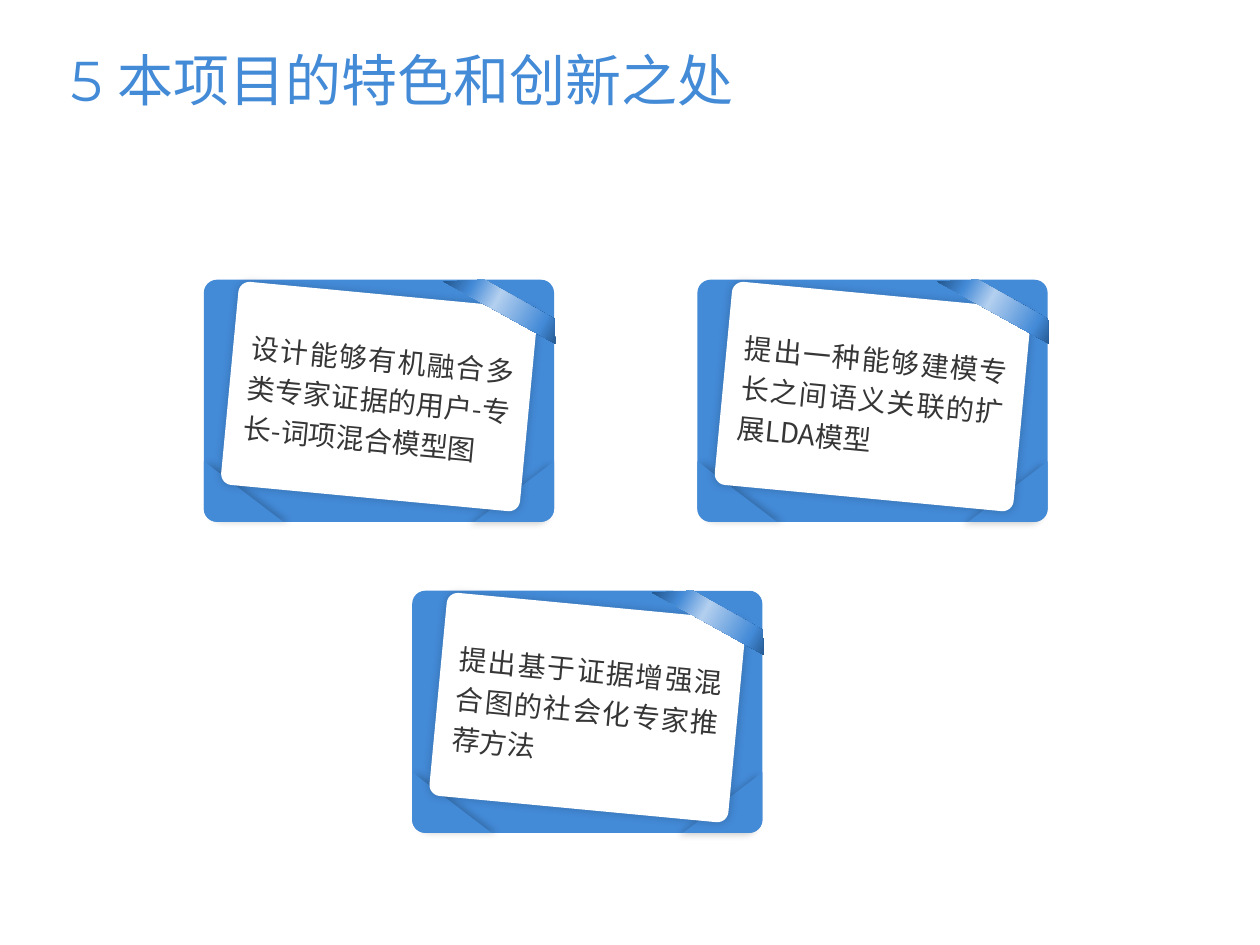
import math

from lxml import etree
from pptx import Presentation
from pptx.dml.color import RGBColor
from pptx.enum import shapes, text
from pptx.oxml import ns
from pptx.util import Cm, Pt

BLUE = "438AD7"
NAVY = "194574"
WHITE = "FFFFFF"
CJK_FONT = "Noto Sans CJK SC"

CARD_WIDTH, CARD_HEIGHT = 7.06, 4.88
NOTE_WIDTH, NOTE_HEIGHT = 6.05, 4.11
FOLD_WIDTH, FOLD_HEIGHT = 1.6, 1.22
CORNER = 0.054
RIBBON_POINTS = [(0, 1.88), (0.43, 2.57), (0.43, 0), (0, 0.26)]
RIBBON_STOPS = [(0, NAVY), (20, BLUE), (56, "B4D0EF"), (76, BLUE), (100, NAVY)]

CARDS = [
    (4.11, 5.64, "设计能够有机融合多类专家证据的用户-专长-词项混合模型图"),
    (14.06, 5.64, "提出一种能够建模专长之间语义关联的扩展LDA模型"),
    (8.31, 11.91, "提出基于证据增强混合图的社会化专家推荐方法"),
]


def color(value):
    return RGBColor.from_string(value)


def add_element(parent, tag, **attributes):
    values = {name: str(value) for name, value in attributes.items()}
    return etree.SubElement(parent, ns.qn(tag), values)


def format_shape(shape, fill):
    shape.fill.solid()
    shape.fill.fore_color.rgb = color(fill)
    shape.line.fill.background()
    shape.shadow.inherit = False


def add_shadow(shape, opacity, blur, distance=0, direction=0):
    effects = shape._element.spPr.find(ns.qn("a:effectLst"))
    shadow = add_element(
        effects, "a:outerShdw", blurRad=Pt(blur), dist=Pt(distance),
        dir=direction * 60000, algn="ctr", rotWithShape=0,
    )
    black = add_element(shadow, "a:srgbClr", val="000000")
    add_element(black, "a:alpha", val=opacity * 1000)


def set_font(paragraph, name, size, font_color):
    paragraph.font.size = Pt(size)
    paragraph.font.color.rgb = color(font_color)
    paragraph.font.name = name
    for run in paragraph.runs:
        add_element(run._r.get_or_add_rPr(), "a:ea", typeface=CJK_FONT)


def add_rounded(slide, left, top, width, height, fill):
    shape = slide.shapes.add_shape(
        shapes.MSO_SHAPE.ROUNDED_RECTANGLE, Cm(left), Cm(top), Cm(width), Cm(height)
    )
    shape.adjustments[0] = CORNER
    format_shape(shape, fill)
    return shape


def add_outline(slide, points, fill):
    lengths = [(Cm(x), Cm(y)) for x, y in points]
    builder = slide.shapes.build_freeform(*lengths[0])
    builder.add_line_segments(lengths[1:], close=True)
    shape = builder.convert_to_shape()
    format_shape(shape, fill)
    return shape


def add_fold(slide, edge, bottom, inward, shadow_direction):
    radius = CORNER * CARD_HEIGHT
    angles = [math.radians(step * 15) for step in range(7)]
    arc = [
        (edge + inward * radius * (1 - math.cos(angle)),
         bottom - radius * (1 - math.sin(angle)))
        for angle in angles
    ]
    points = [(edge, bottom - FOLD_HEIGHT), *arc, (edge + inward * FOLD_WIDTH, bottom)]
    fold = add_outline(slide, points, BLUE)
    add_shadow(fold, 20, 4, 3, shadow_direction)


def add_note(slide, left, top, words):
    note = add_rounded(slide, left, top, NOTE_WIDTH, NOTE_HEIGHT, WHITE)
    note.rotation = 5.4
    add_shadow(note, 19, 5)
    frame = note.text_frame
    frame.word_wrap = True
    frame.vertical_anchor = text.MSO_ANCHOR.MIDDLE
    frame.margin_left = frame.margin_right = Cm(0.3)
    frame.margin_top = frame.margin_bottom = Cm(0.3)
    frame.text = words
    paragraph = frame.paragraphs[0]
    paragraph.alignment = text.PP_ALIGN.JUSTIFY
    paragraph.line_spacing = 1.2
    set_font(paragraph, CJK_FONT, 16, "363636")


def add_ribbon(slide, left, top):
    points = [(left + x, top + y) for x, y in RIBBON_POINTS]
    ribbon = add_outline(slide, points, BLUE)
    ribbon.rotation = 119.1
    ribbon.fill.gradient()
    gradient = ribbon._element.spPr.find(ns.qn("a:gradFill"))
    for child in list(gradient):
        gradient.remove(child)
    stops = add_element(gradient, "a:gsLst")
    for position, value in RIBBON_STOPS:
        stop = add_element(stops, "a:gs", pos=position * 1000)
        add_element(stop, "a:srgbClr", val=value)
    add_element(gradient, "a:lin", ang=90 * 60000, scaled=0)


def add_card(slide, left, top, words):
    bottom = top + CARD_HEIGHT
    add_rounded(slide, left, top, CARD_WIDTH, CARD_HEIGHT, BLUE)
    add_fold(slide, left + CARD_WIDTH, bottom, -1, 160)
    add_fold(slide, left, bottom, 1, 0)
    add_note(slide, left + 0.51, top + 0.3, words)
    add_ribbon(slide, left + 5.85, top - 0.81)


def set_title(slide, words):
    title = slide.shapes.title
    title.left, title.top = Cm(1.17), Cm(0.46)
    title.width, title.height = Cm(23.04), Cm(1.96)
    frame = title.text_frame
    frame.text = words
    frame.word_wrap = True
    frame.auto_size = text.MSO_AUTO_SIZE.NONE
    frame.vertical_anchor = text.MSO_ANCHOR.BOTTOM
    paragraph = frame.paragraphs[0]
    paragraph.alignment = text.PP_ALIGN.LEFT
    paragraph.line_spacing = 0.9
    set_font(paragraph, "Montserrat", 32, BLUE)


def main():
    presentation = Presentation()
    presentation.slide_width = Cm(25.4)
    presentation.slide_height = Cm(19.05)
    slide = presentation.slides.add_slide(presentation.slide_layouts[5])
    set_title(slide, "5 本项目的特色和创新之处")
    for left, top, words in CARDS:
        add_card(slide, left, top, words)
    presentation.save("out.pptx")


if __name__ == "__main__":
    main()
